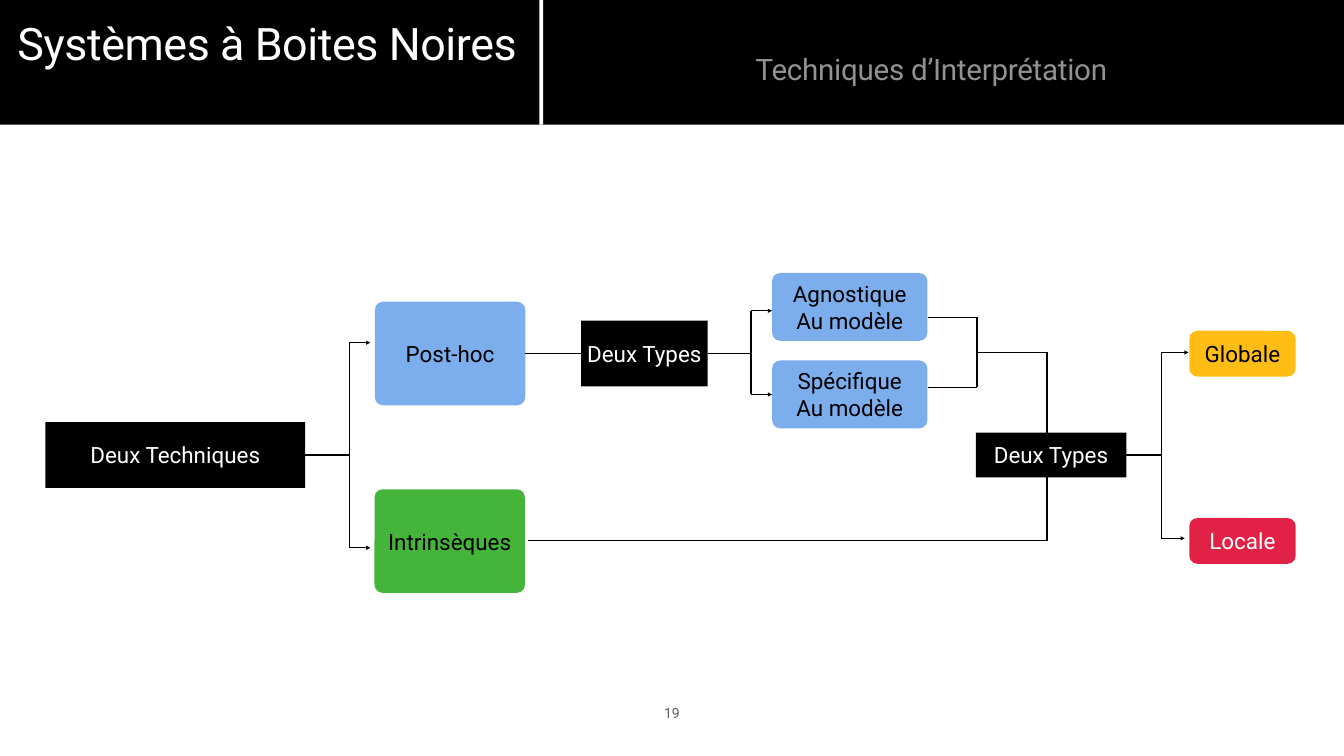
from dataclasses import dataclass

from lxml import etree
from pptx import Presentation
from pptx.dml.color import RGBColor
from pptx.enum.shapes import MSO_CONNECTOR as Connector, MSO_SHAPE as Preset
from pptx.enum.text import MSO_ANCHOR as Anchor, PP_ALIGN as Align
from pptx.oxml.ns import qn
from pptx.util import Pt


@dataclass(frozen=True)
class Theme:
    font: str = "Roboto"
    black: str = "000000"
    white: str = "FFFFFF"
    blue: str = "7CADED"
    green: str = "45B43B"
    yellow: str = "FFBD16"
    red: str = "E22146"
    subtitle: str = "929292"
    number: str = "5E5E5E"
    title_size: float = 64
    subtitle_size: float = 42.2
    label_size: float = 32
    number_size: float = 20
    line_width: float = 2
    inset: float = 4
    corner: float = 11.7


THEME = Theme()
WIDTH, HEIGHT = 1920, 1080
HEADER_HEIGHT = 178
DIVIDER_LEFT, DIVIDER_WIDTH = 770.5, 5.5

# Boxes: name, lines, (left, top, width, height), fill, text colour, rounded
BOXES = [
    ("intrinsic", ["Intrinsèques"], (535, 699, 215, 148), THEME.green, THEME.black, True),
    ("post-hoc", ["Post-hoc"], (535.5, 431, 215, 148), THEME.blue, THEME.black, True),
    ("techniques", ["Deux Techniques"], (65, 603, 371, 94), THEME.black, THEME.white, False),
    ("model types", ["Deux Types"], (830, 458, 181, 94), THEME.black, THEME.white, False),
    ("agnostic", ["Agnostique", "Au modèle"], (1103, 390, 222, 97), THEME.blue, THEME.black, True),
    ("specific", ["Spécifique", "Au modèle"], (1103, 515, 222, 97), THEME.blue, THEME.black, True),
    ("scope types", ["Deux Types"], (1394, 618, 215, 64), THEME.black, THEME.white, False),
    ("global", ["Globale"], (1699, 472.5, 152, 65.5), THEME.yellow, THEME.black, True),
    ("local", ["Locale"], (1699, 740, 152, 65.5), THEME.red, THEME.white, True),
]

# Forks: source box, stem height, trunk x, then the tips of both arrows
FORKS = [
    ("techniques", 650, 499, [(529, 489.5), (529, 782.5)]),
    ("model types", 505, 1073, [(1103, 444), ("specific", 1, 1103, 563.5)]),
    ("scope types", 650, 1659, [(1698, 503.5), (1692.5, 769)]),
]

# Plain lines that lead both branches into the scope types box
MERGE_X, DROP_X, MERGE_Y, RETURN_Y = 1395.5, 1496, 503.5, 772.5
LINES = [
    ((1325, 453.5), (MERGE_X, 453.5)),
    ((1325, 553.5), (MERGE_X, 553.5)),
    ((MERGE_X, 453.5), (MERGE_X, 553.5)),
    ((MERGE_X, MERGE_Y), (DROP_X, MERGE_Y)),
    ((DROP_X, MERGE_Y), (DROP_X, 618)),
    ((755, RETURN_Y), (DROP_X, RETURN_Y)),
    ((DROP_X, RETURN_Y), (DROP_X, 682)),
]

# Texts: words, (left, top, width, height), size, colour, spacing, line spacing, anchor
TEXTS = [
    ("19", (944, 998.5, 32, 35.5), THEME.number_size, THEME.number, 0, 1, Anchor.BOTTOM),
    ("Systèmes à Boites Noires", (0, 33, 763, 136), THEME.title_size, THEME.white,
     -0.6, 0.8, Anchor.TOP),
    ("Techniques d’Interprétation", (780, 68.5, 1101, 65.5), THEME.subtitle_size,
     THEME.subtitle, -0.4, 1, Anchor.TOP),
]


def write(shape, lines, size, colour, anchor=Anchor.MIDDLE, spacing=0, line_spacing=1):
    frame = shape.text_frame
    frame.word_wrap = True
    frame.vertical_anchor = anchor
    frame.margin_left = frame.margin_right = Pt(THEME.inset)
    frame.margin_top = frame.margin_bottom = Pt(THEME.inset)
    for index, line in enumerate(lines):
        paragraph = frame.add_paragraph() if index else frame.paragraphs[0]
        paragraph.alignment = Align.CENTER
        paragraph.line_spacing = line_spacing
        run = paragraph.add_run()
        run.text = line
        run.font.name = THEME.font
        run.font.size = Pt(size)
        run.font.color.rgb = RGBColor.from_string(colour)
        if spacing:
            run.font._element.set("spc", str(round(spacing * 100)))


def add_box(slide, area, fill, rounded=False):
    preset = Preset.ROUNDED_RECTANGLE if rounded else Preset.RECTANGLE
    shape = slide.shapes.add_shape(preset, *map(Pt, area))
    if rounded:
        shape.adjustments[0] = THEME.corner / min(area[2:])
    shape.shadow.inherit = False
    shape.fill.solid()
    shape.fill.fore_color.rgb = RGBColor.from_string(fill)
    shape.line.fill.background()
    return shape


def add_line(slide, start, end, arrow=False):
    line = slide.shapes.add_connector(Connector.STRAIGHT, *map(Pt, (*start, *end)))
    line.line.width = Pt(THEME.line_width)
    line.line.color.rgb = RGBColor.from_string(THEME.black)
    if arrow:
        etree.SubElement(line.line._ln, qn("a:tailEnd"), type="triangle")
    etree.SubElement(line._element.spPr, qn("a:effectLst"))
    return line


def add_fork(slide, boxes, source, stem_y, trunk_x, tips):
    box = boxes[source]
    right = (box.left + box.width) / Pt(1)
    add_line(slide, (right, stem_y), (trunk_x, stem_y)).begin_connect(box, 3)
    add_line(slide, (trunk_x, tips[0][-1]), (trunk_x, tips[1][-1]))
    for *target, tip_x, tip_y in tips:
        arrow = add_line(slide, (trunk_x, tip_y), (tip_x, tip_y), arrow=True)
        if target:
            name, side = target
            arrow.end_connect(boxes[name], side)


def main():
    presentation = Presentation()
    presentation.slide_width, presentation.slide_height = Pt(WIDTH), Pt(HEIGHT)
    slide = presentation.slides.add_slide(presentation.slide_layouts[6])

    # Boxes of the diagram
    boxes = {}
    for name, lines, area, fill, colour, rounded in BOXES:
        boxes[name] = add_box(slide, area, fill, rounded)
        write(boxes[name], lines, THEME.label_size, colour)

    # Lines and arrows
    for fork in FORKS:
        add_fork(slide, boxes, *fork)
    link = add_line(slide, (750.5, 505), (830, 505))
    link.begin_connect(boxes["post-hoc"], 3)
    link.end_connect(boxes["model types"], 1)
    for start, end in LINES:
        add_line(slide, start, end)

    # Header band and its divider
    add_box(slide, (0, 0, WIDTH, HEADER_HEIGHT), THEME.black)
    add_box(slide, (DIVIDER_LEFT, 0, DIVIDER_WIDTH, HEADER_HEIGHT), THEME.white)

    # Page number, title and subtitle
    for words, area, size, colour, spacing, line_spacing, anchor in TEXTS:
        text_box = slide.shapes.add_textbox(*map(Pt, area))
        write(text_box, [words], size, colour, anchor, spacing, line_spacing)

    presentation.save("out.pptx")


if __name__ == "__main__":
    main()
